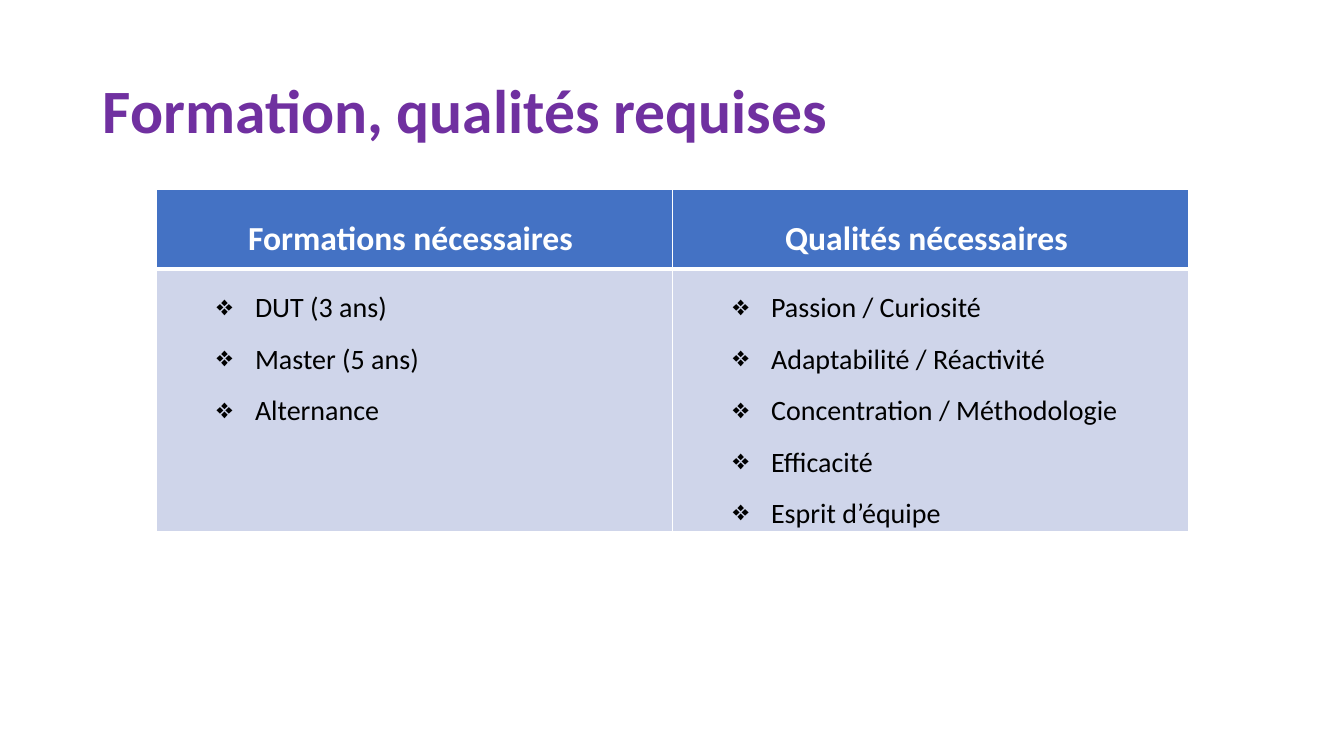
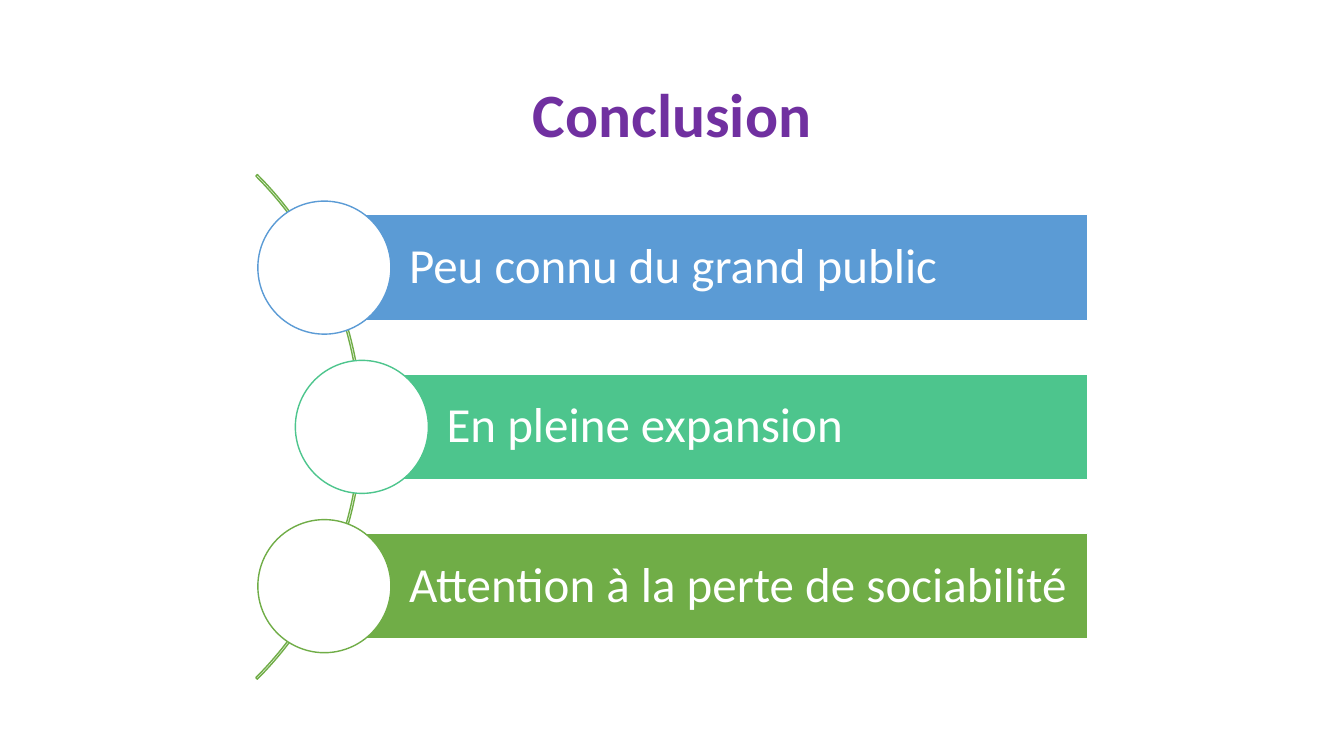
from math import sqrt

from lxml import etree
from pptx import Presentation
from pptx.dml.color import RGBColor
from pptx.enum.shapes import MSO_SHAPE
from pptx.enum.text import MSO_ANCHOR, PP_ALIGN
from pptx.oxml.ns import qn
from pptx.util import Inches, Pt

LEFT, CENTER = PP_ALIGN.LEFT, PP_ALIGN.CENTER
TOP, MIDDLE = MSO_ANCHOR.TOP, MSO_ANCHOR.MIDDLE
RECT, OVAL, ARC = MSO_SHAPE.RECTANGLE, MSO_SHAPE.OVAL, MSO_SHAPE.BLOCK_ARC

FONT = "Calibri"
COLORS = {
    "title": "7030A0", "white": "FFFFFF", "black": "000000",
    "header": "4472C4", "body": "CFD5EA",
    "blue": "5B9BD5", "teal": "4DC58D", "green": "70AD47",
}
ROWS = 75  # square grid cells over the slide's height
COLS = ROWS * 16 / 9


def cells(n):
    """Length of n grid cells (a tenth of an inch each)."""
    return Inches(n / 10)


def rgb(name):
    return RGBColor.from_string(COLORS[name])


class Deck:
    """Holds the style and the current slide; lengths are grid cells."""

    def __init__(self):
        self.prs = Presentation()
        self.prs.slide_width, self.prs.slide_height = cells(COLS), cells(ROWS)
        self.s = None

    def new_slide(self):
        self.s = self.prs.slides.add_slide(self.prs.slide_layouts[6])

    def put_text(self, p, text, size, color, bold=False, align=LEFT, spacing=0.9):
        p.alignment, p.line_spacing = align, spacing
        r = p.add_run()
        r.text = text
        r.font.name, r.font.size, r.font.bold = FONT, Pt(size), bold
        r.font.color.rgb = rgb(color)

    def title(self, text, x, y, w, align=LEFT):
        tf = self.s.shapes.add_textbox(*map(cells, (x, y, w, 14.5))).text_frame
        tf.word_wrap, tf.vertical_anchor = True, MIDDLE
        self.put_text(tf.paragraphs[0], text, 44, "title", True, align)

    def shape(self, kind, x, y, w, h, fill, line):
        sp = self.s.shapes.add_shape(kind, *map(cells, (x, y, w, h)))
        sp.shadow.inherit = False
        if fill:
            sp.fill.solid()
            sp.fill.fore_color.rgb = rgb(fill)
        else:
            sp.fill.background()
        sp.line.color.rgb, sp.line.width = rgb(line), Pt(1)
        return sp

    def bar(self, text, x, y, w, h, color):
        tf = self.shape(RECT, x, y, w, h, color, "white").text_frame
        tf.word_wrap, tf.vertical_anchor = True, MIDDLE
        tf.margin_left = cells(8.4)
        tf.margin_right = tf.margin_top = tf.margin_bottom = cells(1)
        self.put_text(tf.paragraphs[0], text, 35, "white")

    def circle(self, cx, cy, d, color):
        self.shape(OVAL, cx - d / 2, cy - d / 2, d, d, "white", color)

    def arc(self, cx, cy, radius, color):
        sp = self.shape(ARC, cx - radius, cy - radius, 2 * radius, 2 * radius,
                        None, color)
        for i, value in enumerate((189, 27, 0.003)):  # 315° to 45°, thin
            sp.adjustments[i] = value

    def style_cell(self, cell, fill, top, bottom):
        # Borders come before the fill in the cell properties
        tc_pr = cell._tc.get_or_add_tcPr()
        for side, width in zip("LRTB", (1, 1, top, bottom)):
            ln = etree.SubElement(tc_pr, qn("a:ln" + side), w=str(Pt(width)))
            solid = etree.SubElement(ln, qn("a:solidFill"))
            etree.SubElement(solid, qn("a:srgbClr"), val=COLORS["white"])
        cell.fill.solid()
        cell.fill.fore_color.rgb = rgb(fill)

    def bullet(self, p, text):
        self.put_text(p, text, 20, "black", spacing=1.5)
        p.level = 1
        p_pr = p._p.get_or_add_pPr()
        p_pr.set("marL", str(cells(8.8)))
        p_pr.set("indent", str(cells(-3.8)))
        etree.SubElement(p_pr, qn("a:buChar"), char="❖")

    def table(self, columns, x, y, w, heights):
        frame = self.s.shapes.add_table(
            2, len(columns), *map(cells, (x, y, w, sum(heights))))
        table = frame.table
        for row, height in zip(table.rows, heights):
            row.height = cells(height)
        for i, (heading, items) in enumerate(columns.items()):
            table.columns[i].width = cells(w / len(columns))
            head, body = table.cell(0, i), table.cell(1, i)
            self.style_cell(head, "header", 1, 3)
            self.style_cell(body, "body", 3, 1)
            head.vertical_anchor, body.vertical_anchor = MIDDLE, TOP
            self.put_text(head.text_frame.paragraphs[0], heading, 24, "white",
                          True, CENTER, 1.5)
            tf = body.text_frame
            for j, item in enumerate(items):
                self.bullet(tf.add_paragraph() if j else tf.paragraphs[0], item)


def training_slide(deck):
    deck.new_slide()
    deck.title("Formation, qualités requises", 9.2, 4, 116.5)
    deck.table({
        "Formations nécessaires ": ["DUT (3 ans)", "Master (5 ans)", "Alternance"],
        "Qualités nécessaires ": [
            "Passion / Curiosité", "Adaptabilité / Réactivité",
            "Concentration / Méthodologie", "Efficacité", "Esprit d’équipe"],
    }, 15.5, 18.8, 102.4, (7.9, 25.6))


def conclusion_slide(deck):
    deck.new_slide()
    deck.title("Conclusion", 9.2, 4.4, 115, CENTER)

    # The circles sit on the arc, and each bar starts at its circle's centre
    cx, cy, radius = 0.5, 42.35, 35.4
    step, right, bar_h, diameter = 15.8, 107.9, 10.5, 13.2
    deck.arc(cx, cy, radius, "green")
    points = [
        ("Peu connu du grand public", "blue"),
        ("En pleine expansion", "teal"),
        ("Attention à la perte de sociabilité", "green"),
    ]
    for i, (text, color) in enumerate(points):
        dy = (i - 1) * step
        x, y = cx + sqrt(radius ** 2 - dy ** 2), cy + dy
        deck.bar(text, x, y - bar_h / 2, right - x, bar_h, color)
        deck.circle(x, y, diameter, color)


def main():
    deck = Deck()
    training_slide(deck)
    conclusion_slide(deck)
    deck.prs.save("out.pptx")


if __name__ == "__main__":
    main()
